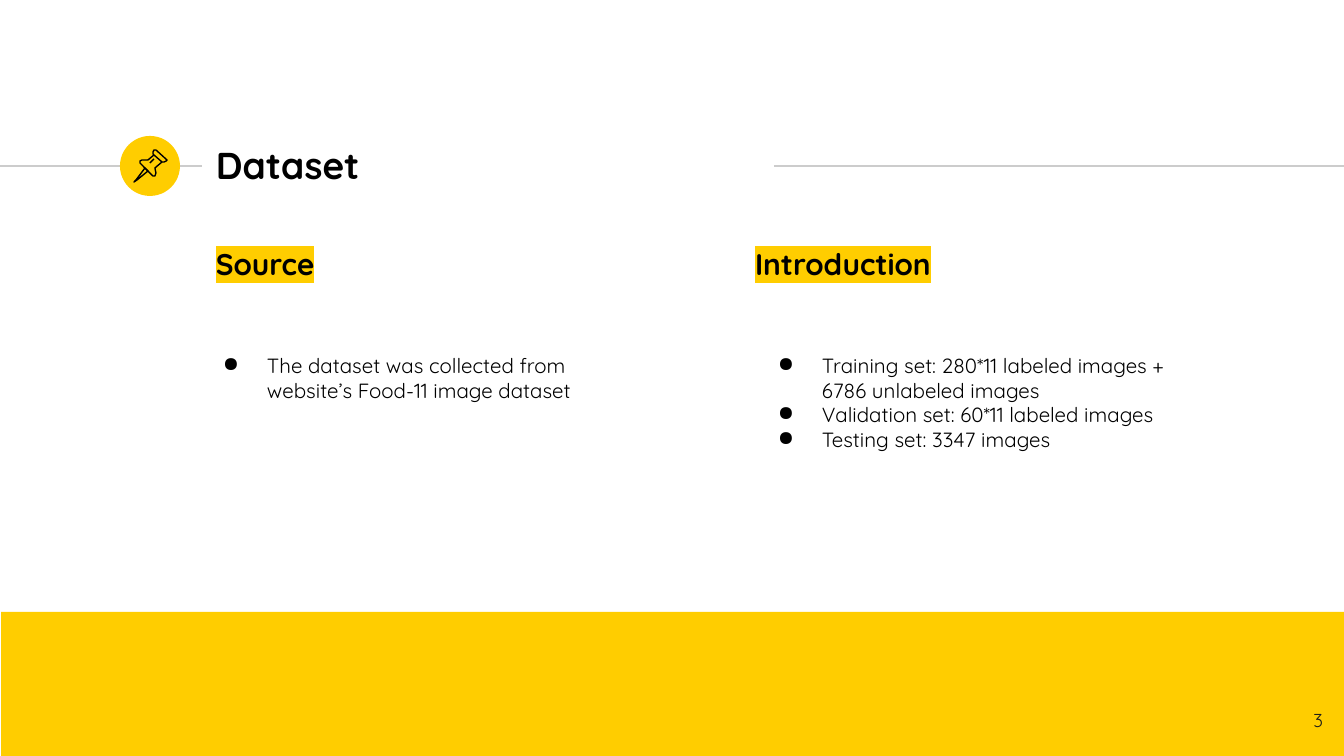
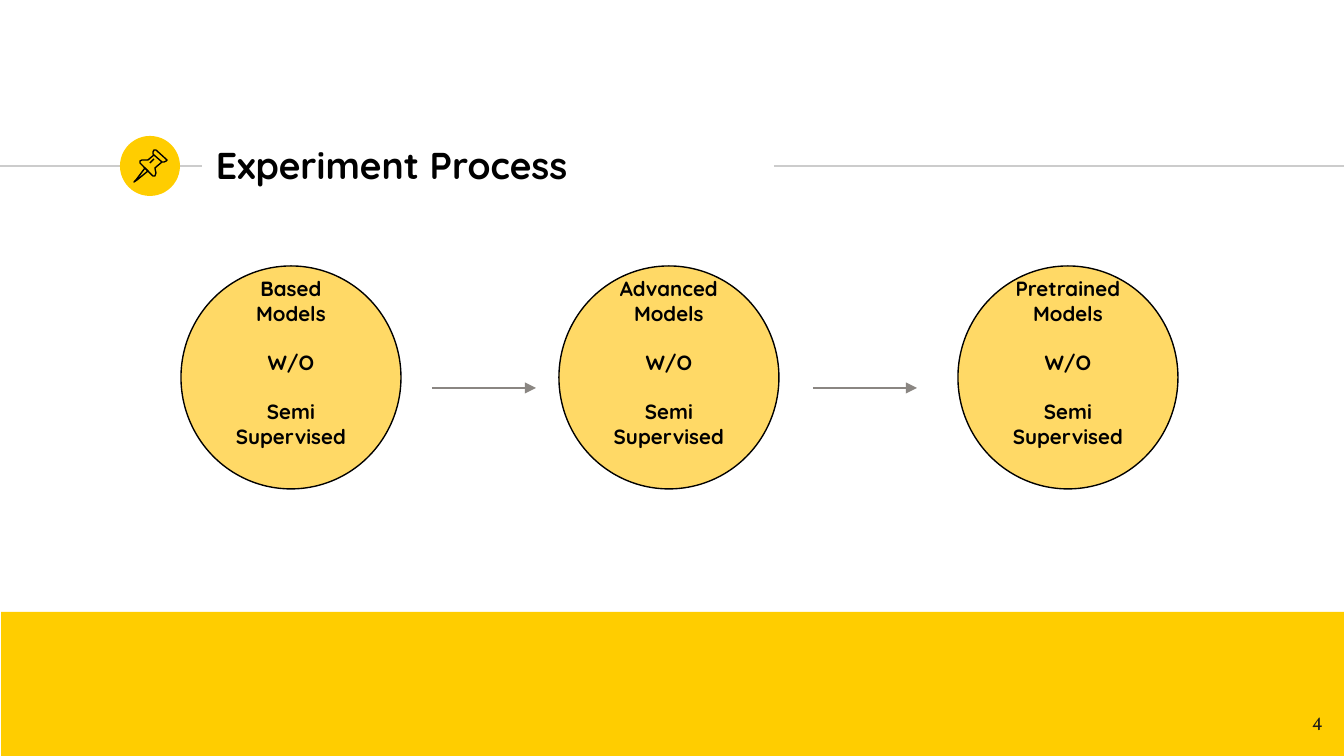
from lxml.etree import SubElement
from pptx import Presentation
from pptx.dml.color import RGBColor
from pptx.enum.shapes import MSO_CONNECTOR, MSO_SHAPE
from pptx.enum.text import MSO_ANCHOR as ANCHOR, PP_ALIGN as ALIGN
from pptx.oxml.ns import qn
from pptx.util import Emu, Pt

PX = 9144000 / 1344
BLACK = RGBColor(0x00, 0x00, 0x00)
INK = RGBColor(0x1D, 0x1D, 0x1B)
YELLOW = RGBColor(0xFF, 0xCD, 0x00)
PALE_YELLOW = RGBColor(0xFF, 0xD9, 0x66)
RULE_GRAY = RGBColor(0xCC, 0xCC, 0xCC)
ARROW_GRAY = RGBColor(0x8A, 0x86, 0x82)
INSET = 13
RULE_Y = 166

PIN_OUTLINES = [
    ([(145, 168), (136, 180), (134, 182), (137, 180), (148, 171)], True),
    ([(154, 155), (162, 162), (164, 162), (166, 161), (167, 160),
      (156, 150), (154, 150), (153, 152), (153, 154)], True),
    ([(154, 155), (148, 160), (145, 160), (142, 160), (140, 161), (140, 163),
      (153, 176), (155, 176), (156, 173), (155, 168), (162, 162)], False),
    ([(150, 163), (154, 159)], False),
]


def emu(*lengths):
    return [Emu(round(length * PX)) for length in lengths]


def write(box, *lines, size=11, font="Quicksand", color=BLACK, bold=False,
          align=ALIGN.LEFT, anchor=ANCHOR.TOP, bottom=INSET, gap=0,
          bullet=None, highlight=None):
    frame = box.text_frame
    frame.word_wrap = True
    frame.vertical_anchor = anchor
    frame.margin_left, frame.margin_top, frame.margin_right, frame.margin_bottom = emu(
        INSET, INSET, INSET, bottom)
    for index, line in enumerate(lines):
        para = frame.add_paragraph() if index else frame.paragraphs[0]
        para.alignment = align
        if index and gap:
            para.space_before = Pt(gap)
        if bullet:
            layout = para._p.get_or_add_pPr()
            margin, hang = emu(67, -44)
            layout.set("marL", str(margin))
            layout.set("indent", str(hang))
            tint = SubElement(layout, qn("a:buClr"))
            SubElement(tint, qn("a:srgbClr"), val=str(color))
            SubElement(layout, qn("a:buChar"), char=bullet)
        span = para.add_run()
        span.text = line
        span.font.size = Pt(size)
        span.font.name = font
        span.font.bold = bold
        span.font.color.rgb = color
        if highlight:
            marker = SubElement(span._r.rPr, qn("a:highlight"))
            SubElement(marker, qn("a:srgbClr"), val=str(highlight))
            span._r.rPr.find(qn("a:solidFill")).addnext(marker)


def draw_line(page, left, right, y, color, arrow=False):
    line = page.shapes.add_connector(MSO_CONNECTOR.STRAIGHT, *emu(left, y, right, y))
    line.line.color.rgb = color
    line.line.width = Pt(0.75)
    if arrow:
        SubElement(line.line._get_or_add_ln(), qn("a:tailEnd"), type="triangle")
    SubElement(line._element.spPr, qn("a:effectLst"))


deck = Presentation()
deck.slide_width, deck.slide_height = emu(1344, 756)

pages = []
for title, number, number_font in [("Dataset", "3", "Quicksand"),
                                   ("Experiment Process", "4", "Vollkorn")]:
    page = deck.slides.add_slide(deck.slide_layouts[6])
    pages.append(page)
    draw_line(page, 0, 202, RULE_Y, RULE_GRAY)
    draw_line(page, 774, 1344, RULE_Y, RULE_GRAY)
    for kind, place in [(MSO_SHAPE.OVAL, (120, 136, 60, 60)),
                        (MSO_SHAPE.RECTANGLE, (1, 612, 1343, 144))]:
        shape = page.shapes.add_shape(kind, *emu(*place))
        shape.shadow.inherit = False
        shape.fill.solid()
        shape.fill.fore_color.rgb = YELLOW
        shape.line.fill.background()

    write(page.shapes.add_textbox(*emu(203, 132, 570, 65)), title,
          size=20, bold=True, anchor=ANCHOR.MIDDLE)

    pin = page.shapes.add_group_shape()
    for points, closed in PIN_OUTLINES:
        builder = pin.shapes.build_freeform(*points[0], scale=PX)
        builder.add_line_segments(points[1:], close=closed)
        outline = builder.convert_to_shape()
        outline.shadow.inherit = False
        outline.fill.background()
        outline.line.color.rgb = BLACK
        outline.line.width = Pt(0.75)

    write(page.shapes.add_textbox(*emu(1255, 698, 81, 57)), number,
          size=10, font=number_font, color=INK, align=ALIGN.RIGHT)

dataset, process = pages

for heading, place in [("Source", (203, 233, 474, 324)),
                       ("Introduction", (742, 233, 555, 324))]:
    write(dataset.shapes.add_textbox(*emu(*place)), heading,
          size=16, bold=True, highlight=YELLOW)

for place, items in [
    ((742, 340, 441, 126), ["Training set: 280*11 labeled images + 6786 unlabeled images",
                            "Validation set: 60*11 labeled images",
                            "Testing set: 3347 images"]),
    ((187, 340, 441, 77), ["The dataset was collected from website’s Food-11 image dataset"]),
]:
    write(dataset.shapes.add_textbox(*emu(*place)), *items, bullet="●")

for stage, left in [("Based", 181), ("Advanced", 559), ("Pretrained", 958)]:
    circle = process.shapes.add_shape(MSO_SHAPE.OVAL, *emu(left, 266, 220, 223))
    circle.shadow.inherit = False
    circle.fill.solid()
    circle.fill.fore_color.rgb = PALE_YELLOW
    circle.line.color.rgb = BLACK
    circle.line.width = Pt(0.75)
    write(circle, f"{stage} Models", "W/O", "Semi Supervised", bold=True,
          align=ALIGN.CENTER, anchor=ANCHOR.MIDDLE, bottom=43, gap=13)

for left in (432, 813):
    draw_line(process, left, left + 104, 388, ARROW_GRAY, arrow=True)

deck.save("out.pptx")
